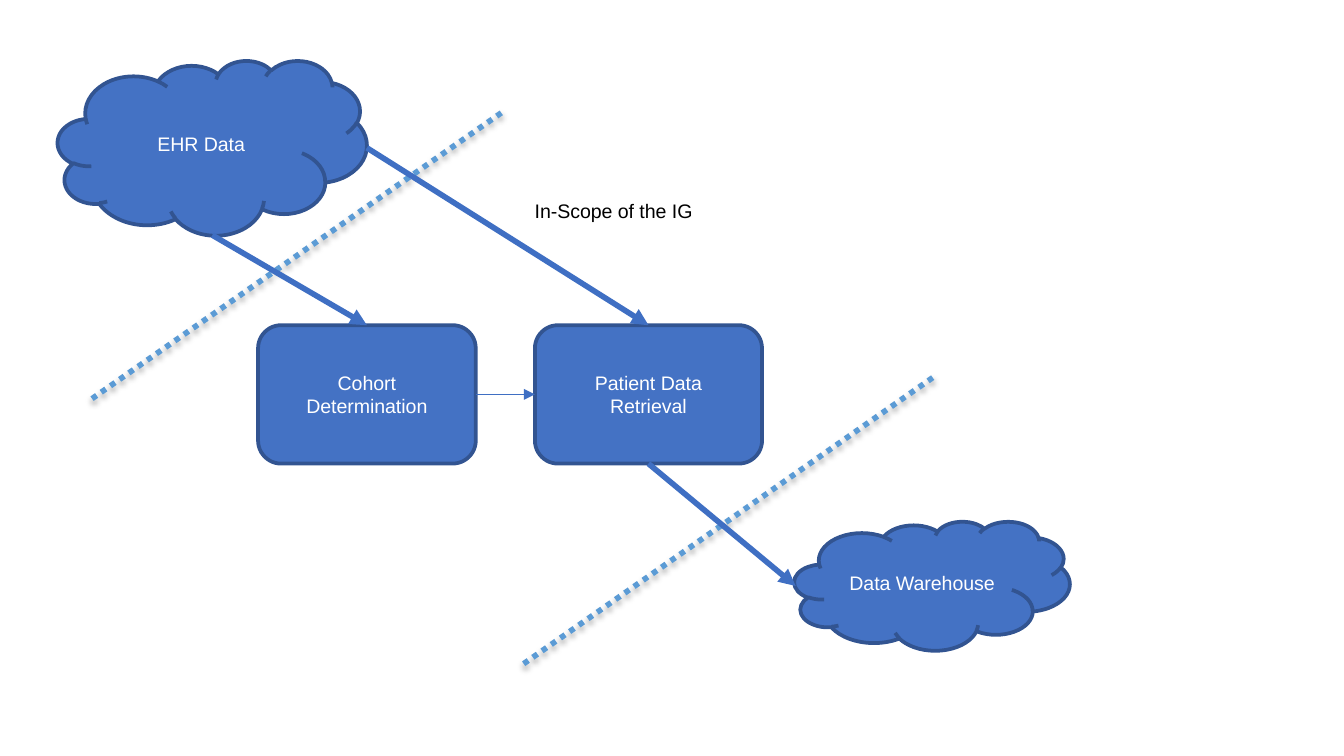
from lxml.etree import SubElement
from pptx import Presentation
from pptx.dml.color import RGBColor
from pptx.enum.dml import MSO_LINE_DASH_STYLE as Dash
from pptx.enum.shapes import MSO_CONNECTOR as Connector, MSO_SHAPE as Shape
from pptx.enum.text import MSO_ANCHOR as Anchor, MSO_AUTO_SIZE as AutoSize, PP_ALIGN as Align
from pptx.oxml.ns import qn
from pptx.util import Inches, Pt

NODE_FILL = RGBColor(0x44, 0x72, 0xC4)
NODE_EDGE = RGBColor(0x32, 0x54, 0x91)
FLOW = RGBColor(0x3F, 0x6F, 0xC3)
BOUNDARY = RGBColor(0x5B, 0x9B, 0xD5)
WHITE = RGBColor(0xFF, 0xFF, 0xFF)
BLACK = RGBColor(0x00, 0x00, 0x00)

TOP, LEFT, BOTTOM, RIGHT = range(4)
SLIDE_SIZE = {"slide_width": Inches(10), "slide_height": Inches(10 * 9 / 16)}
NODE_FRAME = {"word_wrap": True, "vertical_anchor": Anchor.MIDDLE}
LABEL_FRAME = {"word_wrap": True, "auto_size": AutoSize.SHAPE_TO_FIT_TEXT}
FONT = {"name": "Arial", "size": Pt(10.5)}


def apply_format(target, values):
    """Set each named attribute of the target."""
    for name, value in values.items():
        setattr(target, name, value)


def write_text(frame, wording, color, frame_format, align):
    """Fill a text frame with one formatted paragraph."""
    apply_format(frame, frame_format)
    paragraph = frame.paragraphs[0]
    paragraph.alignment = align
    run = paragraph.add_run()
    run.text = wording
    apply_format(run.font, FONT)
    run.font.color.rgb = color


def add_node(slide, outline, wording, *box):
    """Add a filled system or process shape with centred text."""
    node = slide.shapes.add_shape(outline, *map(Inches, box))
    node.shadow.inherit = False
    node.fill.solid()
    node.fill.fore_color.rgb = NODE_FILL
    node.line.color.rgb = NODE_EDGE
    node.line.width = Pt(2)
    write_text(node.text_frame, wording, WHITE, NODE_FRAME, Align.CENTER)
    return node


def add_line(slide, start, end, color, width):
    """Add a straight line and return it with its empty effect list."""
    line = slide.shapes.add_connector(Connector.STRAIGHT, *map(Inches, start + end))
    line.line.color.rgb = color
    line.line.width = Pt(width)
    effects = SubElement(line._element.spPr, qn("a:effectLst"))
    return line, effects


def add_boundary(slide, start, end):
    """Add a dotted scope boundary with a soft shadow below it."""
    boundary, effects = add_line(slide, start, end, BOUNDARY, 3)
    boundary.line.dash_style = Dash.ROUND_DOT
    shadow = SubElement(effects, qn("a:outerShdw"), blurRad=str(Pt(3.1)),
                        dist=str(Pt(1.8)), dir="5400000", rotWithShape="0")
    shade = SubElement(shadow, qn("a:srgbClr"), val=str(BLACK))
    SubElement(shade, qn("a:alpha"), val="35000")


def add_flow(slide, start, end, width=3, source=None, target=None):
    """Add a data flow arrow, joined to the given (node, side) pairs."""
    flow, _ = add_line(slide, start, end, FLOW, width)
    SubElement(flow.line._get_or_add_ln(), qn("a:tailEnd"), type="triangle")
    if source:
        flow.begin_connect(*source)
    if target:
        flow.end_connect(*target)


def add_label(slide, wording, *box):
    """Add a plain caption."""
    label = slide.shapes.add_textbox(*map(Inches, box))
    write_text(label.text_frame, wording, BLACK, LABEL_FRAME, Align.LEFT)


def main():
    """Build the data flow slide."""
    deck = Presentation()
    apply_format(deck, SLIDE_SIZE)
    slide = deck.slides.add_slide(deck.slide_layouts[6])

    add_node(slide, Shape.CLOUD, "EHR Data", 0.43, 0.45, 2.3, 1.3)
    add_boundary(slide, (3.73, 0.84), (0.68, 2.97))
    cohort = add_node(slide, Shape.ROUNDED_RECTANGLE, "Cohort Determination",
                      1.92, 2.42, 1.62, 1.03)
    retrieval = add_node(slide, Shape.ROUNDED_RECTANGLE, "Patient Data Retrieval",
                         3.98, 2.42, 1.69, 1.03)
    add_flow(slide, (1.58, 1.75), (2.73, 2.42), target=(cohort, TOP))
    add_flow(slide, (2.73, 1.1), (4.83, 2.42), target=(retrieval, TOP))
    add_flow(slide, (3.54, 2.94), (3.98, 2.94), 0.75, (cohort, RIGHT), (retrieval, LEFT))
    add_boundary(slide, (6.94, 2.81), (3.88, 4.95))
    add_node(slide, Shape.CLOUD, "Data Warehouse", 5.91, 3.88, 2.05, 0.96)
    add_flow(slide, (4.83, 3.45), (5.92, 4.36), source=(retrieval, BOTTOM))
    add_label(slide, "In-Scope of the IG", 3.88, 1.43, 1.9, 0.28)

    deck.save("out.pptx")


if __name__ == "__main__":
    main()
